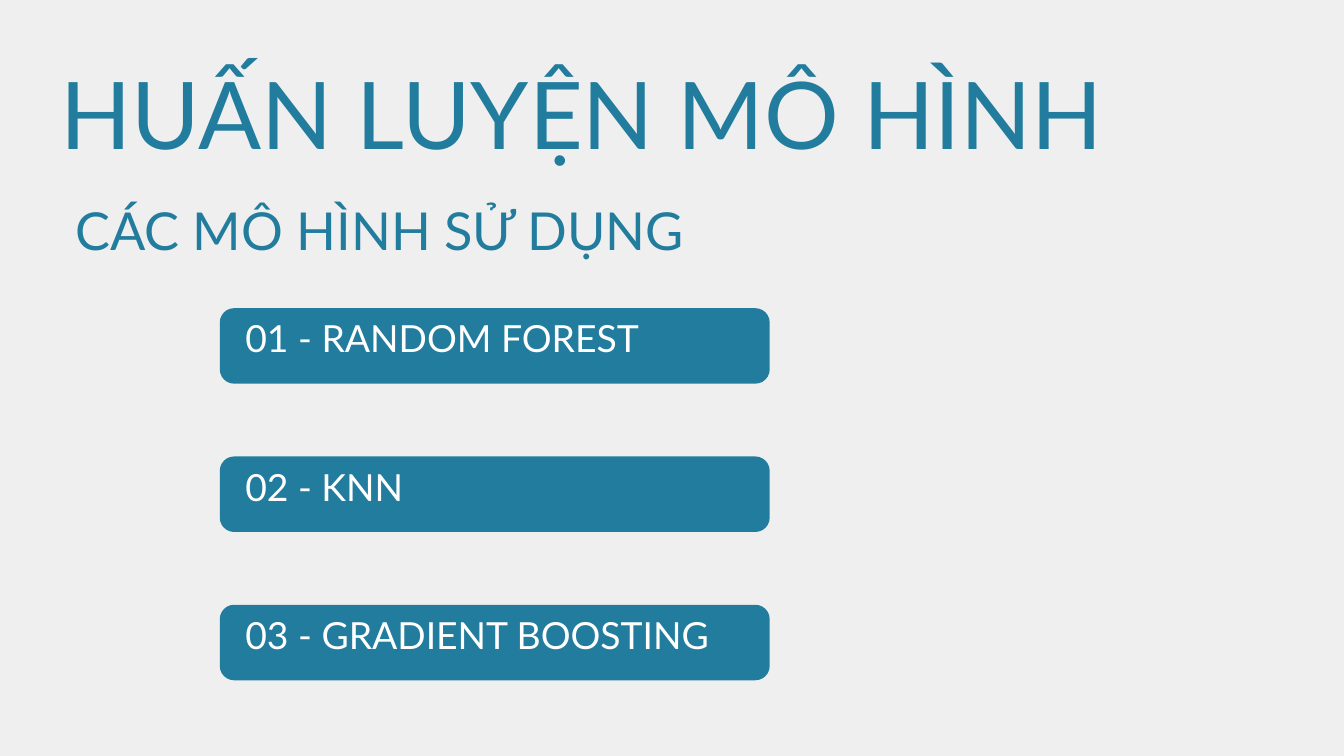
from pptx import Presentation
from pptx.dml.color import RGBColor
from pptx.enum.shapes import MSO_SHAPE
from pptx.enum.text import MSO_AUTO_SIZE, PP_ALIGN
from pptx.util import Pt

TEAL = "227C9D"
WHITE = "FFFFFF"
GRAY = "EFEFEF"
MODELS = [("01 - RANDOM FOREST", 608.4), ("02 - KNN", 542.2), ("03 - GRADIENT BOOSTING", 522)]


def rgb(value):
    """Turn a hex string into a colour."""
    return RGBColor.from_string(value)


def add_text(s, text, x, y, w, h, size, color, spacing, align=PP_ALIGN.LEFT):
    """Place one line of text in a box without margins."""
    tf = s.shapes.add_textbox(Pt(x), Pt(y), Pt(w), Pt(h)).text_frame
    tf.margin_left = tf.margin_right = tf.margin_top = tf.margin_bottom = 0
    tf.word_wrap = True
    tf.auto_size = MSO_AUTO_SIZE.SHAPE_TO_FIT_TEXT
    tf.text = text
    p = tf.paragraphs[0]
    p.alignment = align
    p.line_spacing = Pt(spacing)
    font = p.runs[0].font
    font.name = "Lato"
    font.size = Pt(size)
    font.color.rgb = rgb(color)


def add_heading(s, x, y):
    """Place the title and the subtitle below it."""
    add_text(s, "HUẤN LUYỆN MÔ HÌNH", x, y, 1185.8, 119.5, 100, TEAL, 100, PP_ALIGN.CENTER)
    add_text(s, "CÁC MÔ HÌNH SỬ DỤNG", x + 50.4, y + 144, 768.2, 66.2, 56, TEAL, 55.4)


def add_model(s, text, text_width, x, y, w, h):
    """Place a rounded bar with the name of a model."""
    sp = s.shapes.add_shape(MSO_SHAPE.ROUNDED_RECTANGLE, Pt(x), Pt(y), Pt(w), Pt(h))
    sp.adjustments[0] = 0.19
    sp.shadow.inherit = False
    sp.fill.solid()
    sp.fill.fore_color.rgb = rgb(TEAL)
    sp.line.fill.background()
    add_text(s, text, x + 27.3, y + 16, text_width, 48.2, 40, WHITE, 40)


def add_models(s, x, y, w, h, pitch):
    """Stack the model bars at an equal pitch."""
    for i, (text, text_width) in enumerate(MODELS):
        add_model(s, text, text_width, x, y + i * pitch, w, h)


def main():
    """Build and save the slide."""
    prs = Presentation()
    prs.slide_width, prs.slide_height = Pt(1440), Pt(810)
    s = prs.slides.add_slide(prs.slide_layouts[6])
    s.background.fill.solid()
    s.background.fill.fore_color.rgb = rgb(GRAY)
    add_heading(s, 30.2, 80.6)
    add_models(s, 235.5, 330.2, 589.2, 80.9, 158.9)
    prs.save("out.pptx")


if __name__ == "__main__":
    main()
